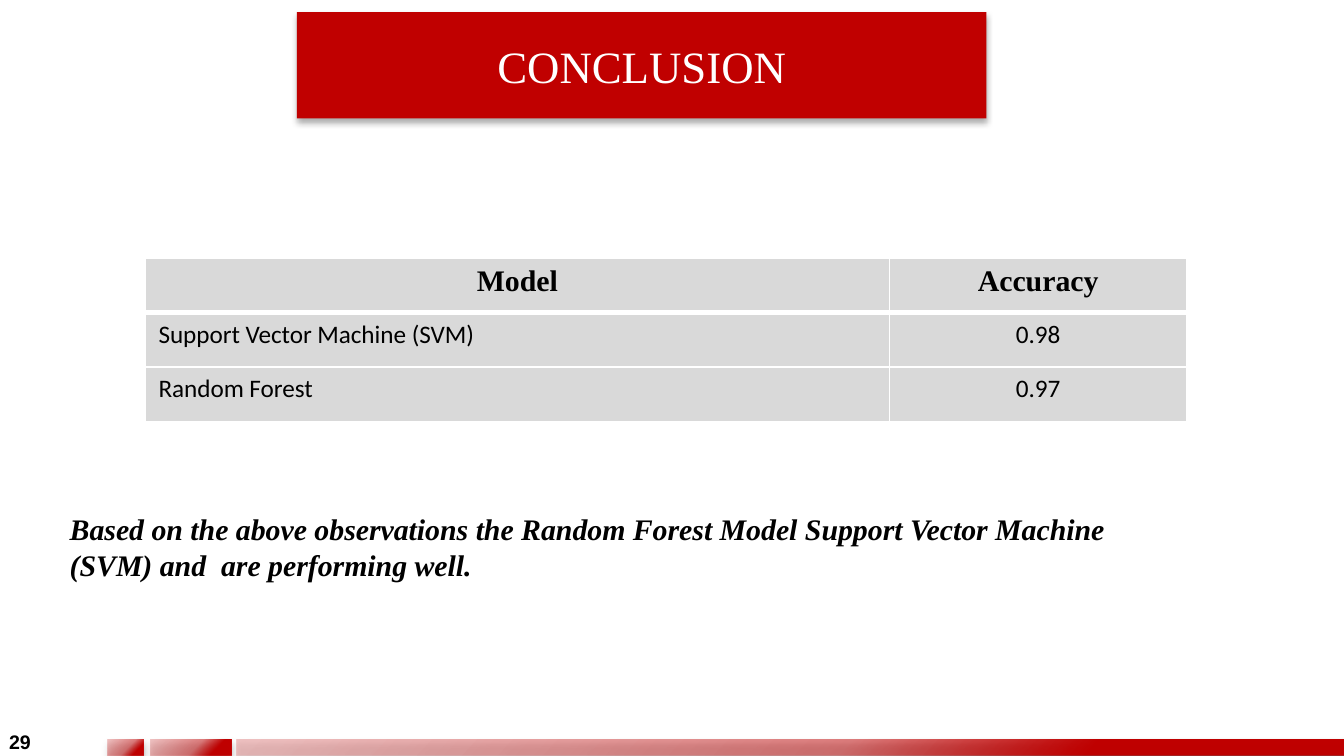
from pptx import Presentation
from pptx.dml.color import RGBColor
from pptx.enum.shapes import MSO_SHAPE as Shape
from pptx.enum.text import MSO_ANCHOR as Anchor, PP_ALIGN as Align
from pptx.oxml import parse_xml
from pptx.oxml.ns import nsdecls
from pptx.util import Inches, Pt

RED = RGBColor(0xC0, 0x00, 0x00)
GREY = RGBColor(0xD9, 0xD9, 0xD9)
WHITE = RGBColor(0xFF, 0xFF, 0xFF)
BLACK = RGBColor(0x00, 0x00, 0x00)

SERIF = "Times New Roman"
FOOTER_STOPS = [(23, 100), (45, 50), (100, 23)]
FOOTER_BARS = [(1.76, 8.24), (1.12, 0.6), (0.8, 0.27)]
HEADER_BORDERS = {"lnL": 1, "lnR": 1, "lnT": 1, "lnB": 3}
RESULTS = [
    ("Model", "Accuracy"),
    ("Support Vector Machine (SVM)", "0.98"),
    ("Random Forest", "0.97"),
]


def format_text(frame, size, font, color=BLACK, bold=False, italic=False, align=Align.LEFT):
    for paragraph in frame.paragraphs:
        paragraph.alignment = align
        for run in paragraph.runs:
            run.font.size = Pt(size)
            run.font.name = font
            run.font.color.rgb = color
            run.font.bold = bold
            run.font.italic = italic


def add_shadow(bar):
    bar.shadow.inherit = False
    effects = bar.element.spPr.find("{*}effectLst")
    effects.append(parse_xml(
        f'<a:outerShdw {nsdecls("a")} blurRad="{Pt(3.5)}" dist="{Pt(2.2)}" '
        'dir="5400000" rotWithShape="0"><a:srgbClr val="000000">'
        '<a:alpha val="32000"/></a:srgbClr></a:outerShdw>'
    ))


def add_bar(slide, left, top, width, height):
    bar = slide.shapes.add_shape(
        Shape.RECTANGLE, Inches(left), Inches(top), Inches(width), Inches(height))
    bar.fill.solid()
    bar.fill.fore_color.rgb = RED
    bar.line.fill.background()
    add_shadow(bar)
    return bar


def fade_bar(bar):
    stops = "".join(
        f'<a:gs pos="{position * 1000}"><a:srgbClr val="{RED}">'
        f'<a:alpha val="{opacity * 1000}"/></a:srgbClr></a:gs>'
        for position, opacity in FOOTER_STOPS
    )
    gradient = parse_xml(
        f'<a:gradFill {nsdecls("a")} rotWithShape="1"><a:gsLst>{stops}</a:gsLst>'
        '<a:path path="circle"><a:fillToRect l="100000" t="100000"/></a:path>'
        '</a:gradFill>'
    )
    properties = bar.element.spPr
    properties.replace(properties.find("{*}solidFill"), gradient)


def add_title(slide, title):
    banner = add_bar(slide, 2.21, 0.09, 5.13, 0.79)
    banner.text_frame.text = title
    banner.text_frame.vertical_anchor = Anchor.MIDDLE
    format_text(banner.text_frame, 24, SERIF, WHITE, align=Align.CENTER)


def add_label(slide, text, left, top, width, height, size, font, italic=False):
    label = slide.shapes.add_textbox(
        Inches(left), Inches(top), Inches(width), Inches(height))
    label.text_frame.word_wrap = True
    label.text_frame.text = text
    format_text(label.text_frame, size, font, bold=True, italic=italic)


def outline_header(cell):
    properties = cell._tc.get_or_add_tcPr()
    for position, (side, weight) in enumerate(HEADER_BORDERS.items()):
        properties.insert(position, parse_xml(
            f'<a:{side} {nsdecls("a")} w="{Pt(weight)}"><a:solidFill>'
            f'<a:srgbClr val="{WHITE}"/></a:solidFill></a:{side}>'
        ))


def add_results(slide):
    table = slide.shapes.add_table(
        len(RESULTS), 2, Inches(1.08), Inches(1.92), Inches(7.75), Inches(1.22)).table
    table.columns[0].width = Inches(5.54)
    table.columns[1].width = Inches(2.21)
    for row, values in enumerate(RESULTS):
        header = row == 0
        size, font = (16, SERIF) if header else (13.5, "Calibri")
        for column, value in enumerate(values):
            cell = table.cell(row, column)
            cell.fill.solid()
            cell.fill.fore_color.rgb = GREY
            cell.text_frame.text = value
            align = Align.CENTER if header or column == 1 else Align.LEFT
            format_text(cell.text_frame, size, font, bold=header, align=align)
            if header:
                outline_header(cell)


def main():
    deck = Presentation()
    deck.slide_width = Inches(10)
    deck.slide_height = Inches(10 * 9 / 16)
    slide = deck.slides.add_slide(deck.slide_layouts[6])
    add_title(slide, "CONCLUSION")
    add_label(slide, "29", -0.03, 5.38, 0.6, 0.29, 10.5, "Arial")
    for left, width in FOOTER_BARS:
        fade_bar(add_bar(slide, left, 5.5, width, 0.12))
    add_results(slide)
    add_label(
        slide,
        "Based on the above observations the Random Forest Model "
        "Support Vector Machine (SVM) and  are performing well.",
        0.42, 3.75, 8.48, 0.64, 16, SERIF, italic=True)
    deck.save("out.pptx")


if __name__ == "__main__":
    main()
